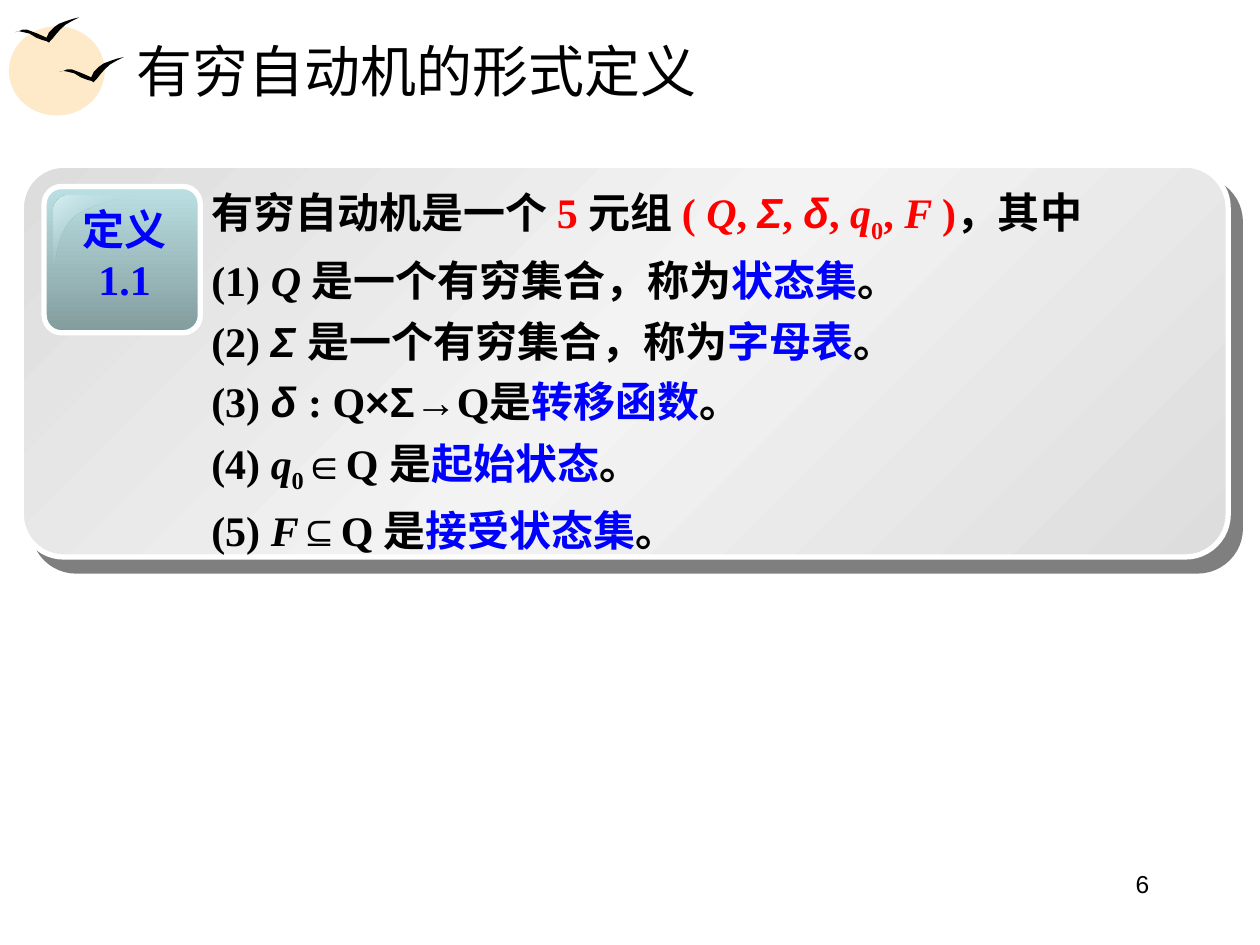
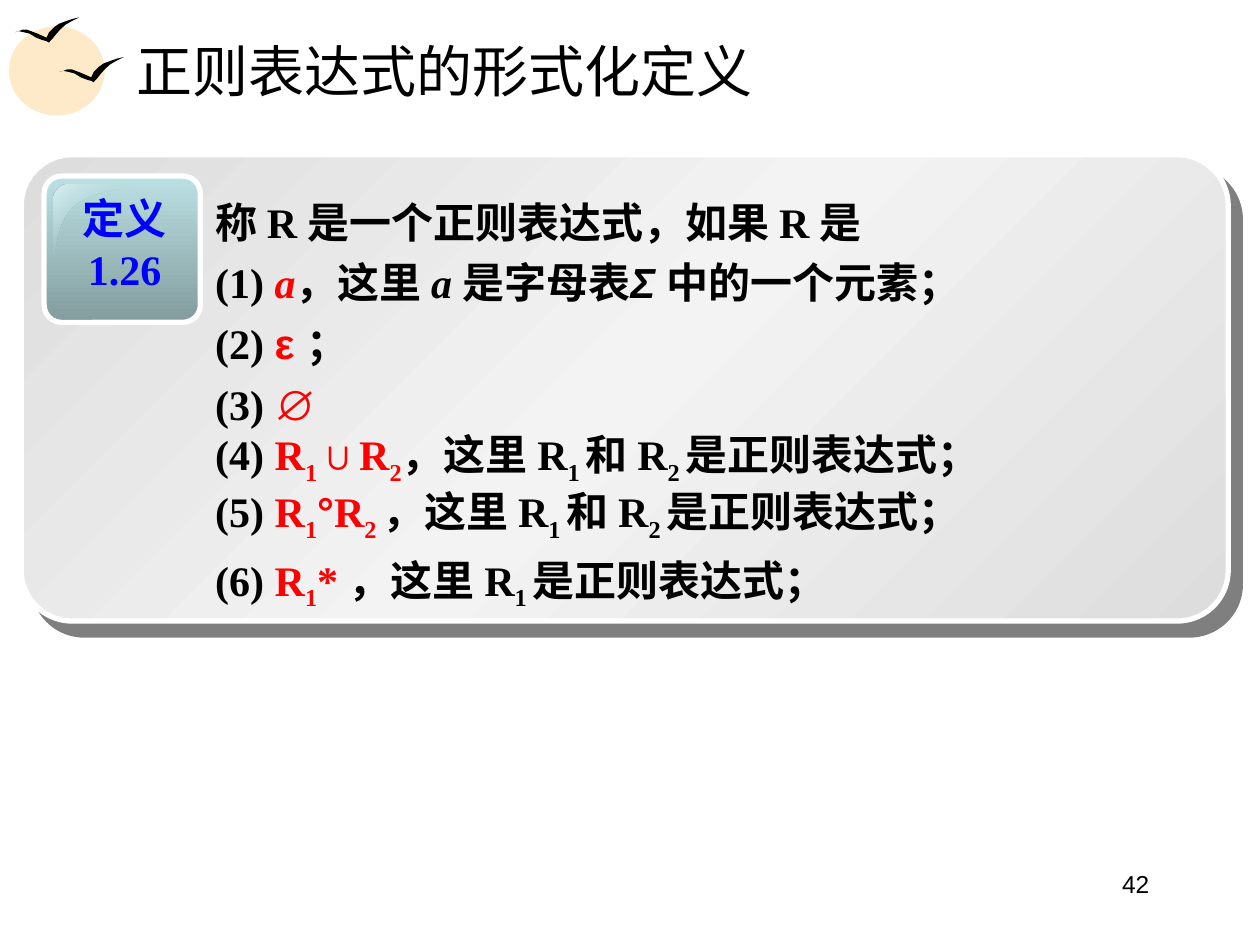
from dataclasses import dataclass

from lxml import etree
from pptx import Presentation
from pptx.dml.color import RGBColor
from pptx.enum import shapes as kinds
from pptx.enum import text as txt
from pptx.oxml.ns import qn
from pptx.util import Cm, Pt

SERIF, SANS = "Times New Roman", "Arial"
BLACK, WHITE, RED, BLUE, SUN = "000000", "FFFFFF", "FF0000", "0000FF", "FEE9C8"
PANEL_STOPS = (0, "DDDDDD", 100), (50, "F3F3F3", 100), (100, "DDDDDD", 100)
TILE_STOPS = (0, "BBE0E3", 100), (100, "839C9E", 100)
GLOSS_STOPS = (0, "DAEEF0", 100), (50, "BBE0E3", 0), (100, "DAEEF0", 100)

# Outlines in hundredths of a centimetre
BIRD = [(0, 30), (8, 28), (15, 25), (25, 25), (33, 28), (46, 33), (64, 41),
        (69, 30), (79, 20), (89, 13), (102, 8), (117, 3), (130, 0), (114, 8),
        (102, 15), (91, 25), (84, 33), (76, 43), (71, 48), (69, 51), (64, 48),
        (56, 46), (43, 41), (30, 33), (18, 30), (8, 28)]
GLOSS_CURVES = [((30, 0), (13, 0), (0, 13), (0, 30)),
                ((0, 145), (5, 147), (3, 76), (41, 43)),
                ((41, 43), (81, 10), (155, 8), (152, 0))]

# Run codes: i italic, g sans (Greek and symbols), s subscript, r red, b blue
FONT_CODES = {"i": {"italic": True}, "g": {"name": SANS}}
COLOUR_CODES = {"r": RED, "b": BLUE}


@dataclass
class Box:
    left: float
    top: float
    width: float
    height: float

    def emu(self) -> list:
        return [Cm(v) for v in (self.left, self.top, self.width, self.height)]


@dataclass
class Line:
    runs: list
    tight: bool = False


@dataclass
class Definition:
    title: str
    page: str
    number: str
    panel_top: float
    panel_height: float
    body: Box
    lines: list
    hanging: float = 0


def colour(value: str) -> RGBColor:
    return RGBColor.from_string(value)


def set_all(target, values: dict) -> None:
    for name, value in values.items():
        setattr(target, name, value)


def add_stop(parent, tag: str, attributes: dict, value: str, alpha: int):
    node = etree.SubElement(parent, qn(tag), attributes)
    rgb = etree.SubElement(node, qn("a:srgbClr"), val=value)
    if alpha < 100:
        etree.SubElement(rgb, qn("a:alpha"), val=str(alpha * 1000))


def fill_gradient(shape, stops, angle: int) -> None:
    """Fill with (position %, colour, opacity %) stops, angle clockwise."""
    shape.fill.gradient()
    shape.fill.gradient_angle = 360 - angle
    stop_list = shape._element.spPr.find(".//" + qn("a:gsLst"))
    for stop in list(stop_list):
        stop_list.remove(stop)
    for position, value, alpha in stops:
        add_stop(stop_list, "a:gs", {"pos": str(position * 1000)}, value, alpha)


def fill_solid(shape, value: str) -> None:
    shape.fill.solid()
    shape.fill.fore_color.rgb = colour(value)


def add_outline(slide, points, left: float, top: float):
    builder = slide.shapes.build_freeform(*points[0], scale=Cm(0.01))
    builder.add_line_segments(points[1:], close=True)
    shape = builder.convert_to_shape(Cm(left), Cm(top))
    shape.shadow.inherit = False
    shape.line.fill.background()
    return shape


def add_preset(slide, kind, box: Box):
    shape = slide.shapes.add_shape(kind, *box.emu())
    shape.shadow.inherit = False
    shape.line.fill.background()
    return shape


def add_rounded(slide, box: Box, corner: float, stops, angle: int):
    shape = add_preset(slide, kinds.MSO_SHAPE.ROUNDED_RECTANGLE, box)
    shape.adjustments[0] = corner
    fill_gradient(shape, stops, angle)
    shape.line.color.rgb = colour(WHITE)
    shape.line.width = Pt(3)
    return shape


def cast_shadow(shape) -> None:
    effects = shape._element.spPr.find(qn("a:effectLst"))
    settings = {"dist": str(Pt(10.6)), "dir": str(49 * 60000),
                "algn": "ctr", "rotWithShape": "0"}
    add_stop(effects, "a:outerShdw", settings, BLACK, 50)


def curve_points(curve, steps: int = 10) -> list:
    """Sample a cubic Bézier curve."""
    points = []
    for step in range(steps + 1):
        t = step / steps
        weights = (1 - t) ** 3, 3 * t * (1 - t) ** 2, 3 * t * t * (1 - t), t ** 3
        points.append(tuple(round(sum(w * p[axis] for w, p in zip(weights, curve)))
                            for axis in (0, 1)))
    return points


def add_run(paragraph, words: str, value: str, **font) -> None:
    run = paragraph.add_run()
    run.text = words
    set_all(run.font, font)
    run.font.color.rgb = colour(value)


def add_text_frame(slide, box: Box):
    frame = slide.shapes.add_textbox(*box.emu()).text_frame
    frame.word_wrap = True
    return frame


def next_paragraph(frame, index: int):
    return frame.add_paragraph() if index else frame.paragraphs[0]


def add_sun_and_birds(slide) -> None:
    for box in (Box(0.18, 0.53, 1.93, 1.8), Box(0.51, 0.71, 1.6, 1.4)):
        fill_solid(add_preset(slide, kinds.MSO_SHAPE.OVAL, box), SUN)
    for left, top in ((1.2, 1.15), (0.3, 0.35)):
        fill_solid(add_outline(slide, BIRD, left, top), BLACK)


def add_title(slide, words: str) -> None:
    title = slide.shapes.title
    set_all(title, dict(zip(("left", "top", "width", "height"),
                            Box(2.49, 0.53, 21.67, 1.75).emu())))
    set_all(title.text_frame, {"vertical_anchor": txt.MSO_ANCHOR.MIDDLE,
                               "auto_size": txt.MSO_AUTO_SIZE.NONE})
    paragraph = title.text_frame.paragraphs[0]
    paragraph.alignment = txt.PP_ALIGN.LEFT
    add_run(paragraph, words, BLACK, name=SERIF, size=Pt(32))


def add_page_number(slide, page: str) -> None:
    paragraph = add_text_frame(slide, Box(17.5, 17.4, 5.92, 1.32)).paragraphs[0]
    paragraph.alignment = txt.PP_ALIGN.RIGHT
    add_run(paragraph, page, BLACK, name=SANS, size=Pt(14))


def add_panel(slide, top: float, height: float, number: str) -> None:
    """Draw the grey panel with its numbered glossy tile."""
    panel = add_rounded(slide, Box(0.43, top, 24.33, height), 0.109, PANEL_STOPS, 45)
    cast_shadow(panel)
    add_rounded(slide, Box(0.89, top + 0.43, 3.15, 2.95), 0.119, TILE_STOPS, 90)
    gloss = [point for curve in GLOSS_CURVES for point in curve_points(curve)]
    fill_gradient(add_outline(slide, gloss, 1.09, top + 0.61), GLOSS_STOPS, 45)
    frame = add_text_frame(slide, Box(1.32, top + 0.64, 2.39, 2.29))
    for index, words in enumerate(("定义", number)):
        paragraph = next_paragraph(frame, index)
        paragraph.alignment = txt.PP_ALIGN.CENTER
        add_run(paragraph, words, BLUE, name=SERIF, size=Pt(24), bold=True)


def add_body(slide, definition: Definition) -> None:
    frame = add_text_frame(slide, definition.body)
    for index, line in enumerate(definition.lines):
        paragraph = next_paragraph(frame, index)
        if definition.hanging:
            indent = Cm(definition.hanging)
            properties = paragraph._p.get_or_add_pPr()
            properties.set("marL", str(indent))
            properties.set("indent", str(-indent))
        if not line.tight:
            paragraph.line_spacing = 1.1
            if index:
                paragraph.space_before = Pt(3)
        for words, codes in line.runs:
            font = {"name": SERIF, "size": Pt(24), "bold": True}
            value = BLACK
            for code in codes:
                font.update(FONT_CODES.get(code, {}))
                value = COLOUR_CODES.get(code, value)
            add_run(paragraph, words, value, **font)
            if "s" in codes:
                paragraph.runs[-1]._r.get_or_add_rPr().set("baseline", "-25000")


DEFINITIONS = [
    Definition("有穷自动机的形式定义", "6", "1.1", 3.33, 7.9, Box(4.01, 3.53, 20.32, 7.8), [
        Line([("有穷自动机是一个 ", ""), ("5 ", "r"), ("元组 ", ""), ("( ", "r"),
              ("Q", "ri"), (", ", "r"), ("Σ", "rgi"), (", ", "r"), ("δ", "rgi"),
              (", ", "r"), ("q", "ri"), ("0", "rs"), (", ", "r"), ("F ", "ri"),
              (")", "r"), ("，其中", "")]),
        Line([("(1) ", ""), ("Q ", "i"), ("是一个有穷集合，称为", ""),
              ("状态集", "b"), ("。", "")]),
        Line([("(2) ", ""), ("Σ ", "gi"), ("是一个有穷集合，称为", ""),
              ("字母表", "b"), ("。", "")]),
        Line([("(3) ", ""), ("δ ", "gi"), (": Q", ""), ("×Σ→", "g"), ("Q是", ""),
              ("转移函数", "b"), ("。", "")]),
        Line([("(4) ", ""), ("q", "i"), ("0", "s"), ("∈", "g"), ("Q 是", ""),
              ("起始状态", "b"), ("。", "")]),
        Line([("(5) ", ""), ("F", "i"), ("⊆", "g"), ("Q 是", ""),
              ("接受状态集", "b"), ("。", "")]),
    ]),
    Definition("正则表达式的形式化定义", "42", "1.26", 3.12, 9.4, Box(4.09, 3.73, 20.32, 8.74), [
        Line([("称 R 是一个正则表达式，如果 R 是", "")]),
        Line([("(1) ", ""), ("a", "ri"), ("，这里 ", ""), ("a ", "i"), ("是字母表", ""),
              ("Σ", "gi"), (" 中的一个元素；", "")]),
        Line([("(2) ", ""), ("ε ", "rg"), ("；", "")]),
        Line([("(3) ", ""), ("∅", "rg")]),
        Line([("(4) ", ""), ("R", "r"), ("1", "rs"), ("∪R", "r"), ("2", "rs"),
              ("，这里 R", ""), ("1 ", "s"), ("和 R", ""), ("2 ", "s"),
              ("是正则表达式；", "")], tight=True),
        Line([("(5) ", ""), ("R", "r"), ("1", "rs"), ("°", "rg"), ("R", "r"), ("2 ", "rs"),
              ("，这里 R", ""), ("1 ", "s"), ("和 R", ""), ("2 ", "s"),
              ("是正则表达式；", "")], tight=True),
        Line([("(6) ", ""), ("R", "r"), ("1", "rs"), ("* ", "r"), ("，这里 R", ""),
              ("1 ", "s"), ("是正则表达式；", "")]),
    ], hanging=1.27),
]


def main() -> None:
    deck = Presentation()
    deck.slide_width, deck.slide_height = Cm(25.4), Cm(19.05)
    title_only = deck.slide_layouts[5]
    for definition in DEFINITIONS:
        slide = deck.slides.add_slide(title_only)
        add_sun_and_birds(slide)
        add_page_number(slide, definition.page)
        add_title(slide, definition.title)
        add_panel(slide, definition.panel_top, definition.panel_height, definition.number)
        add_body(slide, definition)
    deck.save("out.pptx")


if __name__ == "__main__":
    main()
